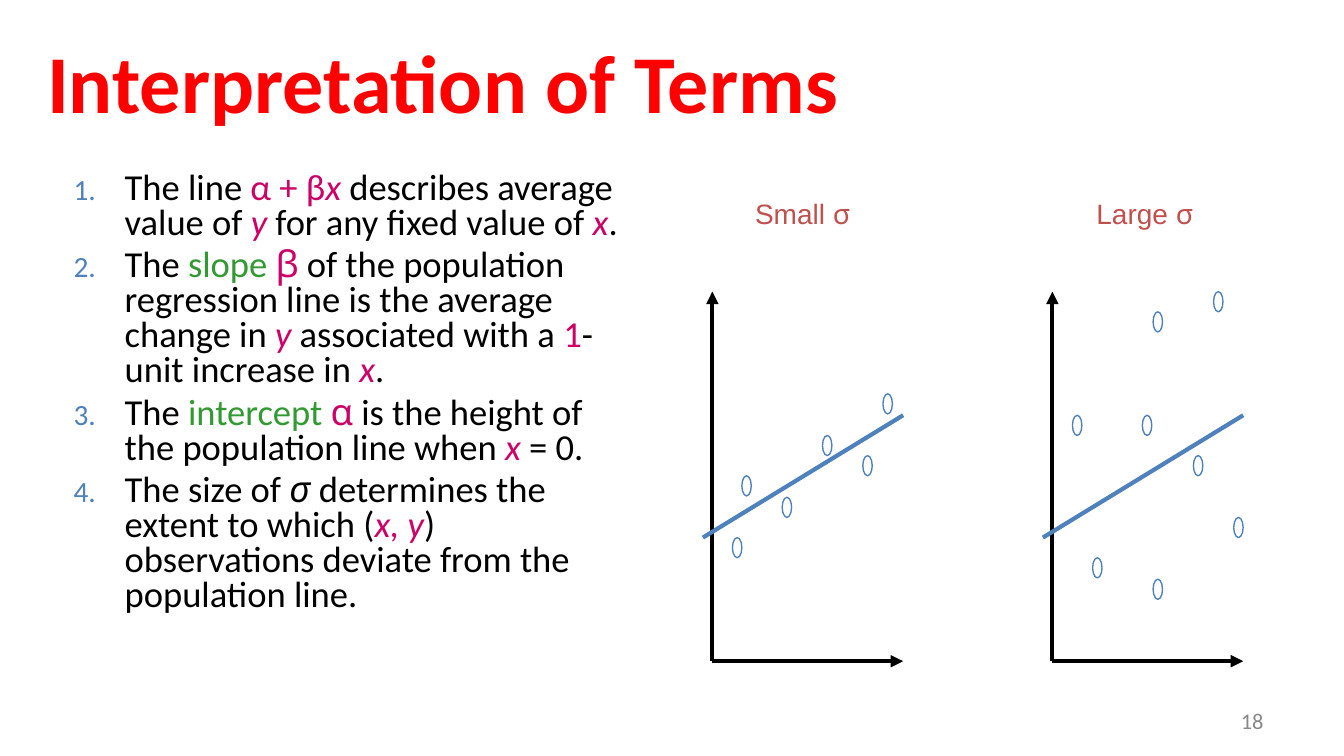
"""Build a slide on the terms of a regression line, with two scatter sketches."""
from dataclasses import dataclass

from lxml import etree
from pptx import Presentation
from pptx import util as u
from pptx.dml.color import RGBColor
from pptx.enum import shapes, text
from pptx.oxml.ns import qn


@dataclass(frozen=True)
class Theme:
    """Colours, type sizes and fonts of the slide."""
    red: str = "FF0000"
    black: str = "000000"
    pink: str = "CC0066"
    green: str = "339933"
    blue: str = "4F81BD"
    brick: str = "C0504D"
    gray: str = "888888"
    head: float = 44
    body: float = 19.6
    label: float = 15
    foot: float = 12
    main: str = "Calibri"
    plain: str = "Arial"
    greek: str = "Noto Sans"


T = Theme()
VAR = {"color": T.pink, "italic": True}
PINK = {"color": T.pink}
GREEN = {"color": T.green}
GREEK = {"color": T.pink, "font": T.greek}
SIGMA = {"italic": True, "font": T.greek}

TERMS = [
    ["The line ", ("α + β", PINK), ("x", VAR), " describes average value of ",
     ("y", VAR), " for any fixed value of ", ("x", VAR), "."],
    ["The ", ("slope ", GREEN), ("β", GREEK),
     " of the population regression line is the average change in ", ("y", VAR),
     " associated with a ", ("1", PINK), "-unit increase in ", ("x", VAR), "."],
    ["The ", ("intercept ", GREEN), ("α", GREEK),
     " is the height of the population line when ", ("x", VAR), " = 0."],
    ["The size of ", ("σ", SIGMA), " determines the extent to which (",
     ("x, y", VAR), ") observations deviate from the population line."],
]

SMALL = [(0.22, 3.54), (1.27, 2.93), (1.12, 3.39), (0.52, 3.7), (0.82, 3.24),
         (0.15, 4)]
LARGE = [(1.2, 2.17), (1.35, 3.85), (1.05, 3.39), (0.3, 4.15), (0.67, 3.09),
         (0.15, 3.09), (0.75, 4.31), (0.75, 2.32)]


def write(para, runs, size, color=T.black, font=T.main, bold=False,
          italic=False, align=text.PP_ALIGN.LEFT):
    """Fill a paragraph with runs, each a string or a (string, changes) pair."""
    para.alignment = align
    base = {"color": color, "font": font, "italic": italic}
    for item in runs:
        words, change = (item, {}) if isinstance(item, str) else item
        look = base | change
        run = para.add_run()
        run.text = words
        run.font.size = u.Pt(size)
        run.font.name = look["font"]
        run.font.bold = bold
        run.font.italic = look["italic"]
        run.font.color.rgb = RGBColor.from_string(look["color"])


def number(para):
    """Give a paragraph a hanging automatic number."""
    props = para._p.get_or_add_pPr()
    props.set("marL", str(u.Inches(0.38)))
    props.set("indent", str(u.Inches(-0.38)))
    tint = etree.SubElement(props, qn("a:buClr"))
    etree.SubElement(tint, qn("a:srgbClr"), val=T.blue)
    etree.SubElement(props, qn("a:buSzPct"), val="80000")
    etree.SubElement(props, qn("a:buAutoNum"), type="arabicPeriod")


def box(home, left, top, width, height, anchor=text.MSO_ANCHOR.TOP):
    """Add a wrapping text box and return its frame."""
    frame = home.add_textbox(*map(u.Inches, (left, top, width, height))).text_frame
    frame.word_wrap = True
    frame.vertical_anchor = anchor
    return frame


def listing(home):
    """Add the numbered list of terms."""
    frame = box(home, 0.45, 1.23, 4.33, 4.15)
    for i, runs in enumerate(TERMS):
        para = frame.add_paragraph() if i else frame.paragraphs[0]
        number(para)
        para.line_spacing = 0.8
        para.space_before = u.Pt(3.9 if i else 0)
        write(para, runs, T.body)


def line(home, start, end, color, arrow=False):
    """Add a straight line, with an arrowhead at its end if asked."""
    item = home.add_connector(shapes.MSO_CONNECTOR.STRAIGHT,
                              *map(u.Inches, (*start, *end)))
    item.line.color.rgb = RGBColor.from_string(color)
    item.line.width = u.Pt(2.25)
    if arrow:
        etree.SubElement(item.line._get_or_add_ln(), qn("a:tailEnd"), type="triangle")
    etree.SubElement(item._element.spPr, qn("a:effectLst"))


def dot(home, left, top):
    """Add one hollow observation mark."""
    item = home.add_shape(shapes.MSO_SHAPE.OVAL,
                          *map(u.Inches, (left, top, 0.07, 0.15)))
    item.shadow.inherit = False
    item.fill.background()
    item.line.color.rgb = RGBColor.from_string(T.blue)
    item.line.width = u.Pt(0.75)


def plot(home, left, word, shift, dots):
    """Add a labelled scatter sketch whose vertical axis stands at left."""
    group = home.add_group_shape().shapes
    base = (left, 4.92)
    line(group, base, (left, 2.17), T.black, arrow=True)
    line(group, base, (left + 1.42, 4.92), T.black, arrow=True)
    line(group, (left - 0.07, 4), (left + 1.42, 3.09), T.blue)
    for across, top in dots:
        dot(group, left + across, top)
    frame = box(group, left + shift, 1.41, 1.1, 0.86)
    write(frame.paragraphs[0], [word + " ", ("σ", {"font": T.greek})],
          T.label, color=T.brick, font=T.plain)


def title(slide, words):
    """Place and fill the title placeholder."""
    item = slide.shapes.title
    item.left, item.top, item.width, item.height = map(
        u.Inches, (0.25, 0.13, 9, 0.94))
    frame = item.text_frame
    frame.auto_size = text.MSO_AUTO_SIZE.NONE
    frame.vertical_anchor = text.MSO_ANCHOR.MIDDLE
    write(frame.paragraphs[0], [words], T.head, color=T.red, bold=True)


def main():
    """Build and save the slide."""
    deck = Presentation()
    deck.slide_width = u.Inches(10)
    deck.slide_height = deck.slide_width * 9 // 16
    slide = deck.slides.add_slide(deck.slide_layouts[5])
    title(slide, "Interpretation of Terms")
    listing(slide.shapes)
    plot(slide.shapes, 5.3, "Small", 0.22, SMALL)
    plot(slide.shapes, 7.83, "Large", 0.23, LARGE)
    foot = box(slide.shapes, 7.17, 5.21, 2.33, 0.3, text.MSO_ANCHOR.MIDDLE)
    write(foot.paragraphs[0], ["18"], T.foot, color=T.gray,
          align=text.PP_ALIGN.RIGHT)
    deck.save("out.pptx")


if __name__ == "__main__":
    main()
